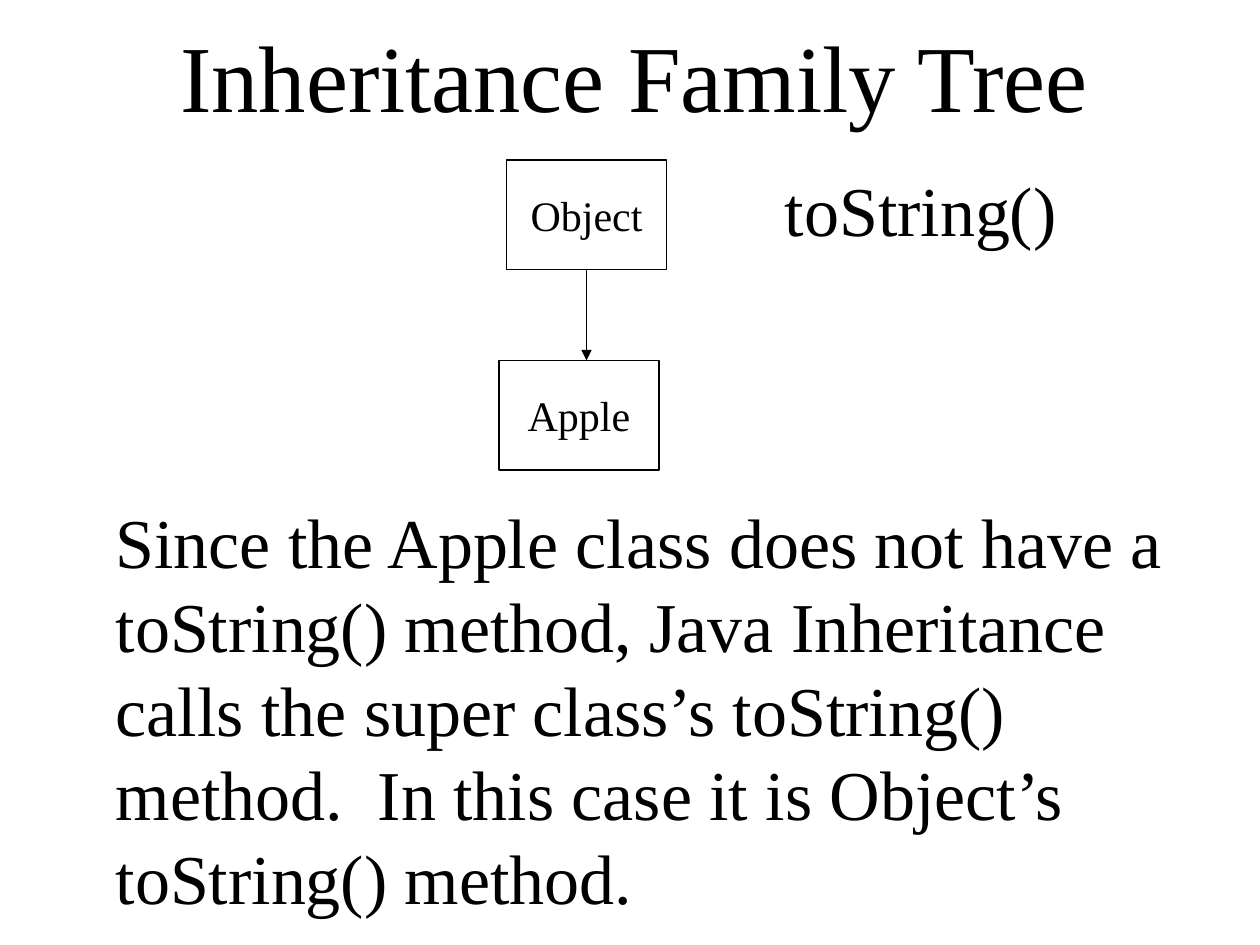
"""Build the inheritance family tree slide."""
from dataclasses import dataclass

from lxml.etree import SubElement
from pptx import Presentation
from pptx.dml.color import RGBColor
from pptx.enum.shapes import MSO_CONNECTOR, MSO_SHAPE
from pptx.enum.text import MSO_ANCHOR, MSO_AUTO_SIZE, PP_ALIGN
from pptx.oxml.ns import qn
from pptx.util import Inches, Pt


@dataclass(frozen=True)
class Theme:
    """Colours, font, and type sizes of the slide."""

    ink: RGBColor = RGBColor(0, 0, 0)
    font: str = "Times New Roman"
    title_size: int = 54
    body_size: int = 40
    label_size: int = 24
    line_width: float = 0.75
    leading: float = 1.2


def write_text(frame, text, *, theme, size, align=PP_ALIGN.LEFT,
               anchor=MSO_ANCHOR.TOP, auto_size=MSO_AUTO_SIZE.SHAPE_TO_FIT_TEXT):
    """Fill a text frame, with one paragraph for each line of text."""
    frame.text = text
    frame.word_wrap = False
    frame.auto_size = auto_size
    frame.vertical_anchor = anchor
    for paragraph in frame.paragraphs:
        paragraph.alignment = align
        paragraph.line_spacing = Pt(size * theme.leading)
        paragraph.space_before = Pt(0)
        for run in paragraph.runs:
            run.font.name = theme.font
            run.font.size = Pt(size)
            run.font.color.rgb = theme.ink


class SlideBuilder:
    """Draws each kind of element on one slide in one style."""

    def __init__(self, slide, theme):
        """Keep the slide and its theme."""
        self.slide = slide
        self.theme = theme

    def title(self, text, left, top, width, height):
        """Place and format the title placeholder."""
        shape = self.slide.shapes.title
        shape.left, shape.top = Inches(left), Inches(top)
        shape.width, shape.height = Inches(width), Inches(height)
        write_text(shape.text_frame, text, theme=self.theme, size=self.theme.title_size)

    def text(self, text, left, top, width, height):
        """Add a box of body text."""
        shape = self.slide.shapes.add_textbox(
            Inches(left), Inches(top), Inches(width), Inches(height))
        write_text(shape.text_frame, text, theme=self.theme, size=self.theme.body_size)

    def class_box(self, name, left, top, width=1.27, height=0.87):
        """Add an outlined rectangle that names a class."""
        shape = self.slide.shapes.add_shape(
            MSO_SHAPE.RECTANGLE, Inches(left), Inches(top), Inches(width), Inches(height))
        shape.shadow.inherit = False
        shape.fill.background()
        shape.line.color.rgb = self.theme.ink
        shape.line.width = Pt(self.theme.line_width)
        write_text(shape.text_frame, name, theme=self.theme, size=self.theme.label_size,
                   align=PP_ALIGN.CENTER, anchor=MSO_ANCHOR.MIDDLE,
                   auto_size=MSO_AUTO_SIZE.NONE)
        return shape

    def arrow_down(self, parent, child):
        """Draw a vertical arrow from the parent to the child's top edge."""
        center = parent.left + parent.width // 2
        connector = self.slide.shapes.add_connector(
            MSO_CONNECTOR.STRAIGHT, center, parent.top + parent.height, center, child.top)
        connector.begin_connect(parent, 2)
        connector.line.color.rgb = self.theme.ink
        connector.line.width = Pt(self.theme.line_width)
        properties = connector.line._get_or_add_ln()
        SubElement(properties, qn("a:tailEnd"), type="triangle")
        SubElement(properties.getparent(), qn("a:effectLst"))


def main():
    """Build and save the presentation."""
    presentation = Presentation()
    presentation.slide_width = Inches(10)
    presentation.slide_height = Inches(7.5)
    slide = presentation.slides.add_slide(presentation.slide_layouts[5])
    builder = SlideBuilder(slide, Theme())

    builder.title("Inheritance Family Tree", 1.33, 0.09, 7.44, 1)
    object_box = builder.class_box("Object", 4.02, 1.27)
    apple_box = builder.class_box("Apple", 3.96, 2.86)
    builder.arrow_down(object_box, apple_box)
    builder.text("toString()", 6.13, 1.27, 2.36, 0.77)
    explanation = (
        "Since the Apple class does not have a",
        "toString() method, Java Inheritance",
        "calls the super class’s toString()",
        "method.  In this case it is Object’s",
        "toString() method.",
    )
    builder.text("\n".join(explanation), 0.82, 3.91, 8.54, 3.44)

    presentation.save("out.pptx")


if __name__ == "__main__":
    main()
